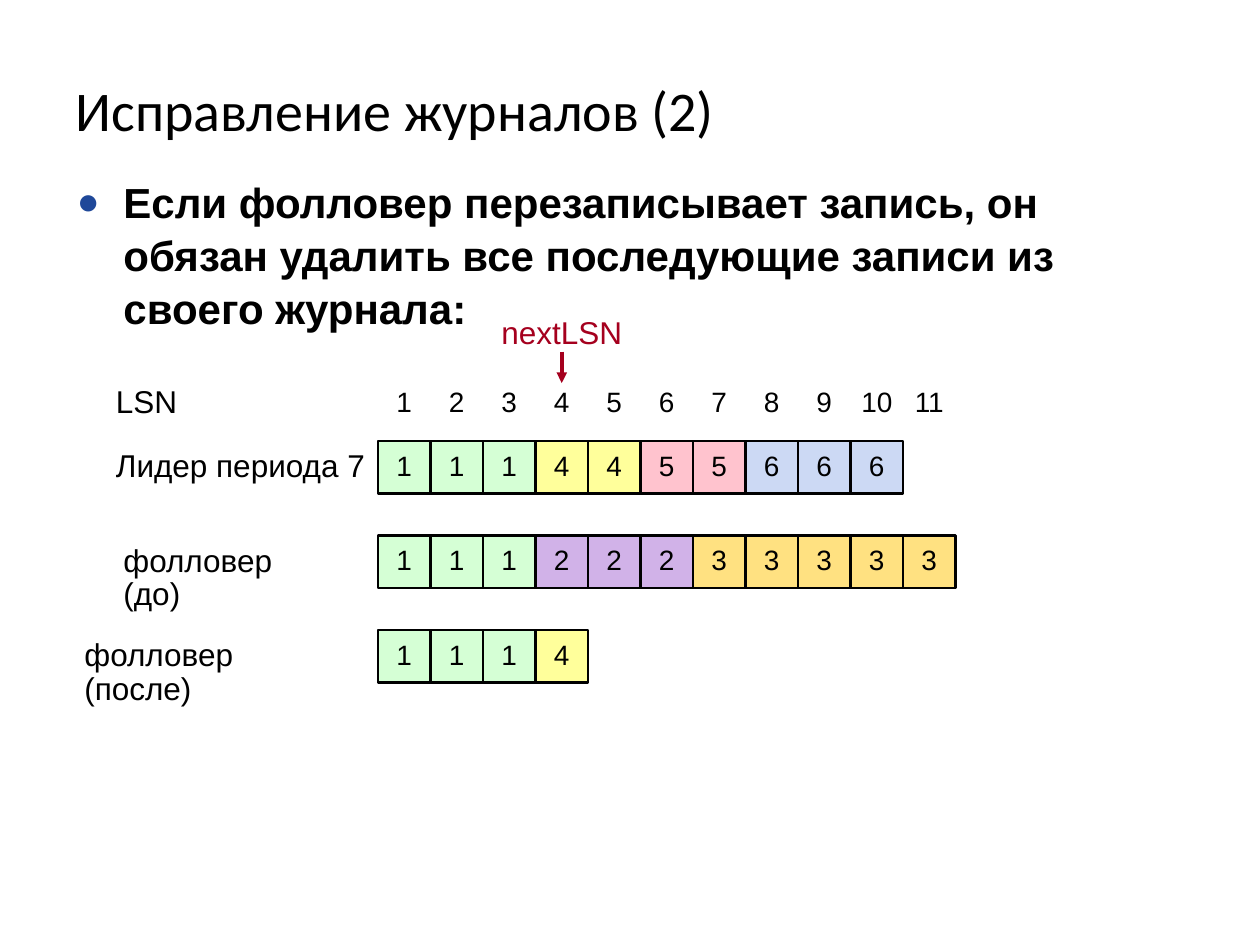
import pptx
import pptx.util
import pptx.dml.color
import pptx.enum.shapes
import pptx.enum.text
import pptx.oxml
import pptx.oxml.ns
from pptx.util import Inches

CELL = 5 / 12
LOG_LEFT = 3
BLACK = "000000"
CRIMSON = "A5001E"
TERM_FILLS = {1: "D5FFD5", 2: "D1B2E8", 3: "FFE181", 4: "FFFF9B", 5: "FFC3CE", 6: "CCD9F4"}
LOGS = [
    (3.5, [1, 1, 1, 4, 4, 5, 5, 6, 6, 6]),
    (4.25, [1, 1, 1, 2, 2, 2, 3, 3, 3, 3, 3]),
    (5, [1, 1, 1, 4]),
]
LEFT = pptx.enum.text.PP_ALIGN.LEFT
CENTER = pptx.enum.text.PP_ALIGN.CENTER
MIDDLE = pptx.enum.text.MSO_ANCHOR.MIDDLE
NO_INSETS = {"margin_left": 0, "margin_top": 0, "margin_right": 0, "margin_bottom": 0}


def color(hex_value):
    return pptx.dml.color.RGBColor.from_string(hex_value)


def set_values(target, values):
    for name, value in values.items():
        setattr(target, name, value)


def place(shape, left, top, width, height):
    set_values(shape, {"left": Inches(left), "top": Inches(top),
                       "width": Inches(width), "height": Inches(height)})


def write(shape, text, size, frame=None, paragraph=None, hex_value=BLACK, name="Arial", bold=False):
    """Put one formatted paragraph into the shape and return it."""
    set_values(shape.text_frame, {"word_wrap": True, **(frame or {})})
    line = shape.text_frame.paragraphs[0]
    set_values(line, paragraph or {})
    run = line.add_run()
    run.text = text
    set_values(run.font, {"size": pptx.util.Pt(size), "name": name, "bold": bold})
    run.font.color.rgb = color(hex_value)
    return line


def append_xml(parent, tag, attributes="", content=""):
    namespace = pptx.oxml.ns.nsdecls("a")
    parent.append(pptx.oxml.parse_xml(f"<a:{tag} {namespace} {attributes}>{content}</a:{tag}>"))


def add_heading(slide):
    title = slide.shapes.title
    place(title, 0.5, 0.53, 9, 0.67)
    write(title, "Исправление журналов (2)", 32, {"vertical_anchor": MIDDLE},
          {"alignment": LEFT}, name="Calibri")


def add_rule(slide):
    body = slide.placeholders[1]
    place(body, 0.5, 1.33, 9, 5.37)
    rule = write(body, "Если фолловер перезаписывает запись, он обязан удалить "
                 "все последующие записи из своего журнала:", 24,
                 {"auto_size": pptx.enum.text.MSO_AUTO_SIZE.NONE},
                 {"space_before": pptx.util.Pt(12), "line_spacing": 1.05}, bold=True)
    properties = rule._p.get_or_add_pPr()
    properties.set("marL", str(Inches(0.38)))
    properties.set("indent", str(Inches(-0.37)))
    append_xml(properties, "buClr", content='<a:srgbClr val="1F4899"/>')
    append_xml(properties, "buSzPct", 'val="90000"')
    append_xml(properties, "buFont", 'typeface="Arial"')
    append_xml(properties, "buChar", 'char="●"')


def add_entry(slide, column, top, term):
    entry = slide.shapes.add_shape(
        pptx.enum.shapes.MSO_SHAPE.RECTANGLE, Inches(LOG_LEFT + column * CELL), Inches(top),
        Inches(CELL), Inches(CELL))
    entry.shadow.inherit = False
    entry.fill.solid()
    entry.fill.fore_color.rgb = color(TERM_FILLS[term])
    entry.line.color.rgb = color(BLACK)
    entry.line.width = pptx.util.Pt(1.5)
    write(entry, str(term), 16, {"vertical_anchor": MIDDLE, **NO_INSETS},
          {"alignment": CENTER, "line_spacing": pptx.util.Pt(17)})


def add_index(slide, number):
    width = CELL if number < 10 else 0.58
    center = LOG_LEFT + (number - 0.5) * CELL
    index = slide.shapes.add_textbox(Inches(center - width / 2), Inches(3),
                                     Inches(width), Inches(0.37))
    write(index, str(number), 16, paragraph={"alignment": CENTER})


def add_label(slide, text, left, top, width, wrap=True, spacing=pptx.util.Pt(19), hex_value=BLACK):
    label = slide.shapes.add_textbox(Inches(left), Inches(top), Inches(width), Inches(0.3))
    write(label, text, 18, {**NO_INSETS, "word_wrap": wrap},
          {"line_spacing": spacing}, hex_value)


def add_pointer(slide):
    center = LOG_LEFT + 3.5 * CELL
    pointer = slide.shapes.add_connector(
        pptx.enum.shapes.MSO_CONNECTOR.STRAIGHT,
        Inches(center), Inches(2.79), Inches(center), Inches(3.04))
    pointer.line.color.rgb = color(CRIMSON)
    pointer.line.width = pptx.util.Pt(2)
    append_xml(pointer.line._get_or_add_ln(), "tailEnd", 'type="triangle"')
    append_xml(pointer._element.spPr, "effectLst")


def main():
    presentation = pptx.Presentation()
    presentation.slide_width, presentation.slide_height = Inches(10), Inches(7.5)
    slide = presentation.slides.add_slide(presentation.slide_layouts[1])
    add_rule(slide)
    add_heading(slide)
    for number in range(1, 12):
        add_index(slide, number)
    for top, terms in LOGS:
        for column, term in enumerate(terms):
            add_entry(slide, column, top, term)
    add_label(slide, "LSN", 0.92, 3.03, 1.25, spacing=None)
    add_label(slide, "Лидер периода 7", 0.92, 3.58, 2)
    add_label(slide, "фолловер (до)", 0.98, 4.33, 1.7, wrap=False)
    add_label(slide, "фолловер (после)", 0.67, 5.08, 2)
    add_label(slide, "nextLSN", 3.98, 2.52, 0.96, wrap=False, hex_value=CRIMSON)
    add_pointer(slide)
    presentation.save("out.pptx")


if __name__ == "__main__":
    main()
